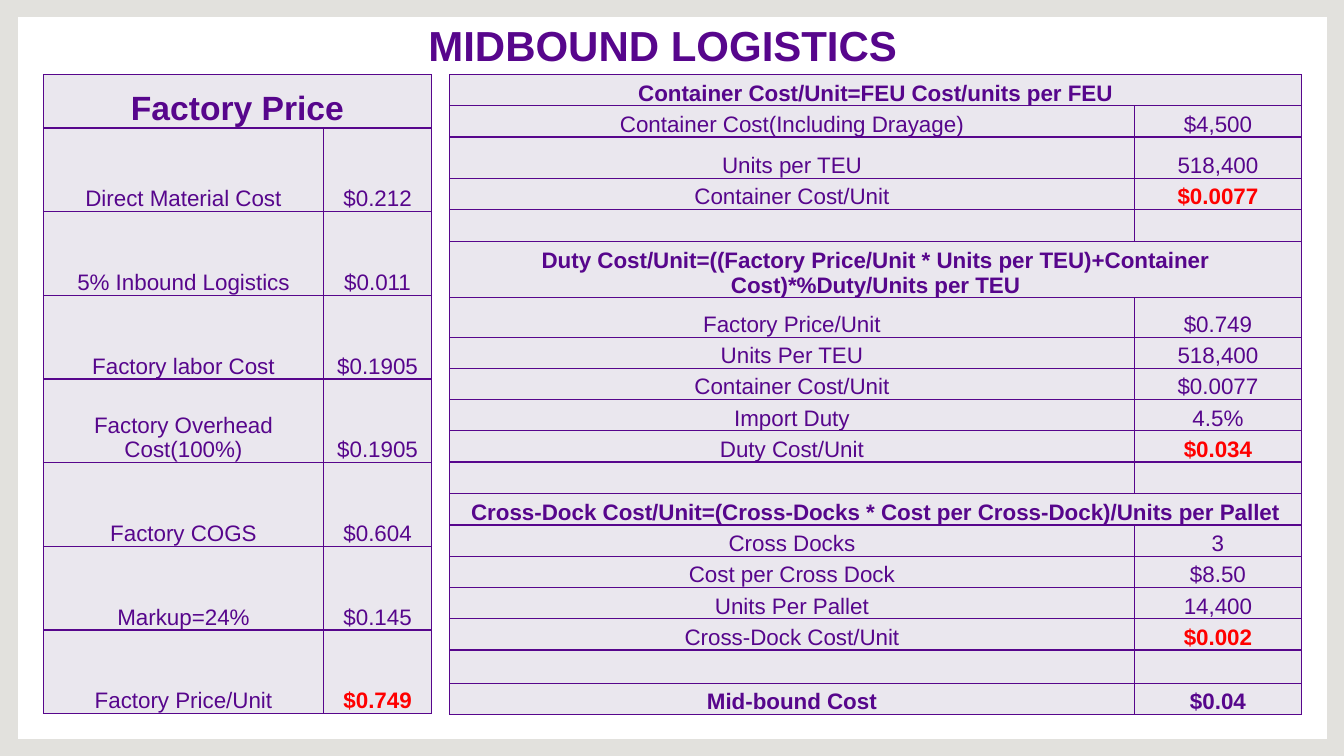
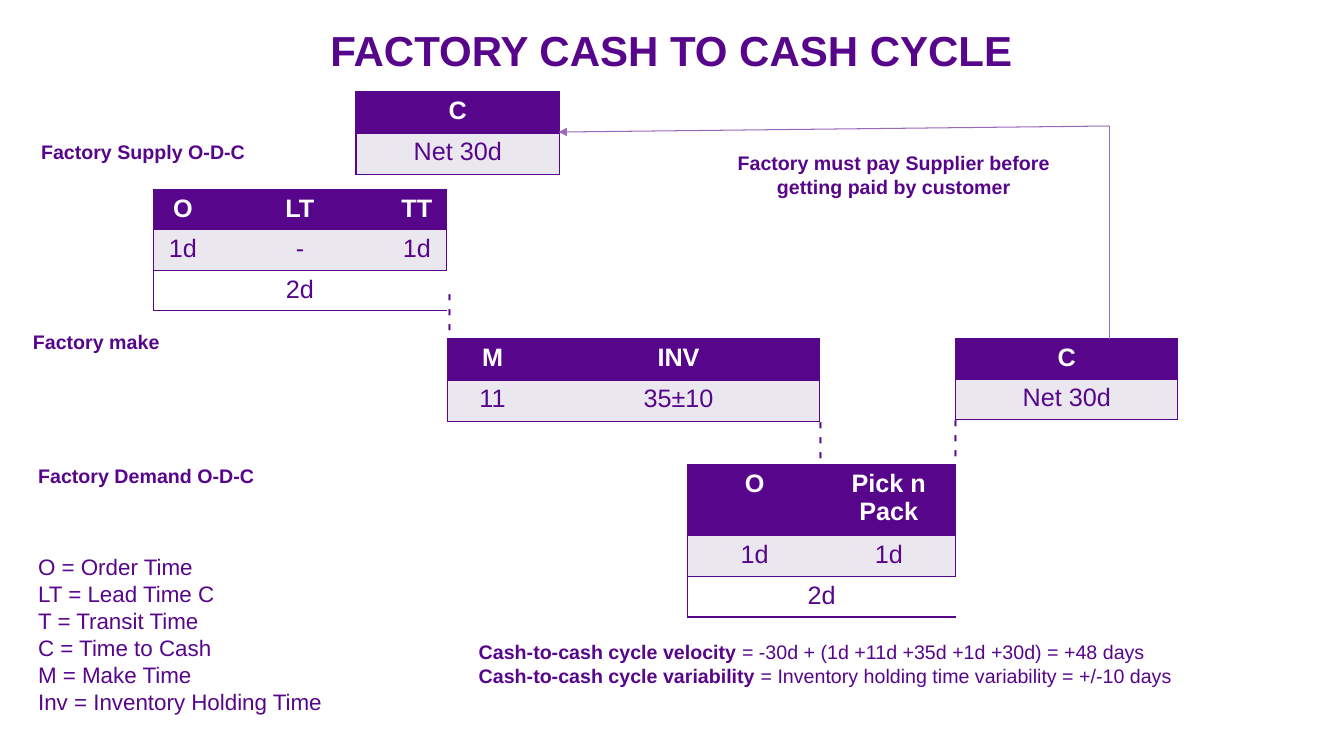
from lxml import etree
from pptx import Presentation
from pptx import util as u
from pptx.dml.color import RGBColor
from pptx.enum import shapes, text
from pptx.oxml.ns import qn

Inches = u.Inches
paint = RGBColor.from_string
PURPLE, LILAC, PALE, WHITE, RED, STONE = "57068C", "9A6ABA", "EAE7EE", "FFFFFF", "FF0000", "E2E1DD"
CENTER, LEFT = text.PP_ALIGN.CENTER, text.PP_ALIGN.LEFT

# Each row kind: fill, then (colour, bold, size) for the first and for the other cells
LABEL, STRONG, BODY = (PURPLE, False, 16), (PURPLE, True, 16), (PURPLE, False, 18)
ROW_STYLES = {
    "title": (PALE, (PURPLE, True, 24), STRONG),
    "formula": (PALE, STRONG, STRONG),
    "line": (PALE, LABEL, LABEL),
    "result": (PALE, LABEL, (RED, True, 16)),
    "header": (PURPLE, (WHITE, True, 18), (WHITE, True, 18)),
    "times": (PALE, BODY, BODY),
    "sum": (WHITE, BODY, BODY),
}


def write(frame, paragraphs, color=PURPLE, bold=False, size=14, align=CENTER):
    """Fill a text frame; a paragraph is a string or a list of (string, bold) runs."""
    for index, content in enumerate(paragraphs):
        para = frame.paragraphs[0] if index == 0 else frame.add_paragraph()
        para.alignment = align
        runs = [(content, bold)] if isinstance(content, str) else content
        for words, heavy in runs:
            span = para.add_run()
            span.text = words
            look = {"name": "Arial", "size": u.Pt(size), "bold": heavy}
            for name, value in look.items():
                setattr(span.font, name, value)
            span.font.color.rgb = paint(color)


def add_grid(page, left, top, widths, heights, rows, ledger=False):
    """Add a table; a lone value spans its row, and a ledger is tight, ruled and bottom-aligned."""
    frame = page.shapes.add_table(len(rows), len(widths), Inches(left), Inches(top),
                                  Inches(sum(widths)), Inches(sum(heights)))
    table = frame.table
    last = len(widths) - 1
    margins = (0.01, 0.01, 0.01, 0) if ledger else (0.1, 0.05, 0.1, 0.05)
    for column, width in zip(table.columns, widths):
        column.width = Inches(width)
    for r, (kind, *values) in enumerate(rows):
        table.rows[r].height = Inches(heights[r])
        fill, first, other = ROW_STYLES[kind]
        for c in range(last + 1):
            cell = table.cell(r, c)
            for side, margin in zip(("left", "top", "right", "bottom"), margins):
                setattr(cell, "margin_" + side, Inches(margin))
            cell.vertical_anchor = text.MSO_ANCHOR.BOTTOM if ledger else text.MSO_ANCHOR.TOP
            ruled = {"lnL": ledger or c == 0, "lnR": ledger or c == last, "lnT": True, "lnB": True}
            properties = cell._tc.get_or_add_tcPr()
            for tag, drawn in ruled.items():
                line = etree.SubElement(properties, qn("a:" + tag), w=str(u.Pt(1)))
                paint_tag = etree.SubElement(line, qn("a:solidFill" if drawn else "a:noFill"))
                if drawn:
                    etree.SubElement(paint_tag, qn("a:srgbClr"), val=PURPLE)
            cell.fill.solid()
            cell.fill.fore_color.rgb = paint(fill)
            if c < len(values):
                write(cell.text_frame, [values[c]], *(first if c == 0 else other))
        if len(values) == 1 and last:
            table.cell(r, 0).merge(table.cell(r, last))


deck = Presentation()
deck.slide_width, deck.slide_height = Inches(13.33), Inches(7.5)

pages = []
for heading, place in (
    ("MIDBOUND LOGISTICS", (4.09, -0.11, 4.97, 0.85)),
    ("FACTORY CASH TO CASH CYCLE", (1.12, 0.08, 11.08, 0.71)),
):
    page = deck.slides.add_slide(deck.slide_layouts[5])
    title = page.shapes.title
    for name, value in zip(("left", "top", "width", "height"), place):
        setattr(title, name, Inches(value))
    title.text_frame.auto_size = text.MSO_AUTO_SIZE.NONE
    title.text_frame.vertical_anchor = text.MSO_ANCHOR.BOTTOM
    write(title.text_frame, [heading], bold=True, size=30)
    title.text_frame.paragraphs[0].line_spacing = 1.1
    pages.append(page)
costs, cycle = pages

# Midbound logistics: white panel on a stone background, two ledgers
costs.background.fill.solid()
costs.background.fill.fore_color.rgb = paint(STONE)
panel = costs.shapes.add_shape(shapes.MSO_SHAPE.RECTANGLE, Inches(0.18), Inches(0.17),
                               Inches(12.98), Inches(7.16))
panel.shadow.inherit = False
panel.fill.solid()
panel.fill.fore_color.rgb = paint(WHITE)
panel.line.fill.background()
costs.shapes.title.element.addprevious(panel.element)

midbound_rows = [
    ("formula", "Container Cost/Unit=FEU Cost/units per FEU"),
    ("line", "Container Cost(Including Drayage)", "$4,500"),
    ("line", "Units per TEU", "518,400"),
    ("result", "Container Cost/Unit", "$0.0077"),
    ("line",),
    ("formula", "Duty Cost/Unit=((Factory Price/Unit * Units per TEU)+Container Cost)*%Duty/Units per TEU"),
    ("line", "Factory Price/Unit", "$0.749"),
    ("line", "Units Per TEU", "518,400"),
    ("line", "Container Cost/Unit", "$0.0077"),
    ("line", "Import Duty", "4.5%"),
    ("result", "Duty Cost/Unit", "$0.034"),
    ("line",),
    ("formula", "Cross-Dock Cost/Unit=(Cross-Docks * Cost per Cross-Dock)/Units per Pallet"),
    ("line", "Cross Docks", "3"),
    ("line", "Cost per Cross Dock", "$8.50"),
    ("line", "Units Per Pallet", "14,400"),
    ("result", "Cross-Dock Cost/Unit", "$0.002"),
    ("line",),
    ("formula", "Mid-bound Cost", "$0.04"),
]
tall_rows = {2: 0.41, 5: 0.56, 6: 0.39, 17: 0.33}
midbound_heights = [tall_rows.get(r, 0.31) for r in range(len(midbound_rows))]
add_grid(costs, 4.46, 0.74, [6.79, 1.66], midbound_heights, midbound_rows, ledger=True)

add_grid(costs, 0.43, 0.74, [2.78, 1.07], [0.53] + [0.83] * 7, [
    ("title", "Factory Price"),
    ("line", "Direct Material Cost", "$0.212"),
    ("line", "5% Inbound Logistics", "$0.011"),
    ("line", "Factory labor Cost", "$0.1905"),
    ("line", "Factory Overhead Cost(100%)", "$0.1905"),
    ("line", "Factory COGS", "$0.604"),
    ("line", "Markup=24%", "$0.145"),
    ("result", "Factory Price/Unit", "$0.749"),
], ledger=True)

# Cash to cash cycle: dashes that tie the steps together
for left, top, width in ((3.95, 3.15, 1.08), (9.18, 4.19, 0.66), (7.84, 4.21, 0.66)):
    box = cycle.shapes.add_textbox(Inches(left), Inches(top), Inches(width), Inches(0.4))
    box.rotation = 90
    box.text_frame.word_wrap = True
    write(box.text_frame, ["- - -"], size=18, align=LEFT)

payment = [("header", "C"), ("times", "Net 30d")]
for left, top, widths, heights, rows in (
    (1.52, 1.88, [0.59, 1.73, 0.59], [0.38] * 3,
     [("header", "O", "LT", "TT"), ("times", "1d", "-", "1d"), ("sum", "2d")]),
    (3.53, 0.91, [2.02], [0.41] * 2, payment),
    (6.82, 4.61, [1.33, 1.33], [0.7, 0.41, 0.4],
     [("header", "O", "Pick n Pack"), ("times", "1d", "1d"), ("sum", "2d")]),
    (9.48, 3.36, [2.2], [0.4] * 2, payment),
    (4.44, 3.36, [0.89, 2.8], [0.41] * 2, [("header", "M", "INV"), ("times", "11", "35±10")]),
):
    add_grid(cycle, left, top, widths, heights, rows)

for end_x, end_y, arrow in ((11, 3.36, False), (5.54, 1.31, True)):
    link = cycle.shapes.add_connector(shapes.MSO_CONNECTOR.STRAIGHT, Inches(11), Inches(1.25),
                                      Inches(end_x), Inches(end_y))
    link.line.color.rgb = paint(LILAC)
    link.line.width = u.Pt(0.75)
    if arrow:
        etree.SubElement(link.line._get_or_add_ln(), qn("a:tailEnd"), type="triangle")
    etree.SubElement(link.element.spPr, qn("a:effectLst"))

legend = ["O = Order Time", "LT = Lead Time C", "T = Transit Time", "C = Time to Cash",
          "M = Make Time", "Inv = Inventory Holding Time"]
summary = [
    [("Cash-to-cash cycle velocity", True), (" = -30d + (1d +11d +35d +1d +30d) = +48 days", False)],
    [("Cash-to-cash cycle variability ", True),
     ("= Inventory holding time variability = +/-10 days", False)],
]
label = {"bold": True}
for place, paragraphs, look in (
    ((7.02, 1.45, 3.69, 0.57), ["Factory must pay Supplier before getting paid by customer"], label),
    ((0.21, 1.34, 2.42, 0.34), ["Factory Supply O-D-C"], label),
    ((0, 3.22, 1.91, 0.34), ["Factory make"], label),
    ((0.28, 4.55, 2.54, 0.34), ["Factory Demand O-D-C"], {"bold": True, "align": LEFT}),
    ((0.28, 5.44, 3.44, 1.72), legend, {"size": 16, "align": LEFT}),
    ((4.65, 6.3, 7.74, 0.57), summary, {"align": LEFT}),
):
    box = cycle.shapes.add_textbox(*map(Inches, place))
    box.text_frame.word_wrap = True
    write(box.text_frame, paragraphs, **look)

deck.save("out.pptx")
